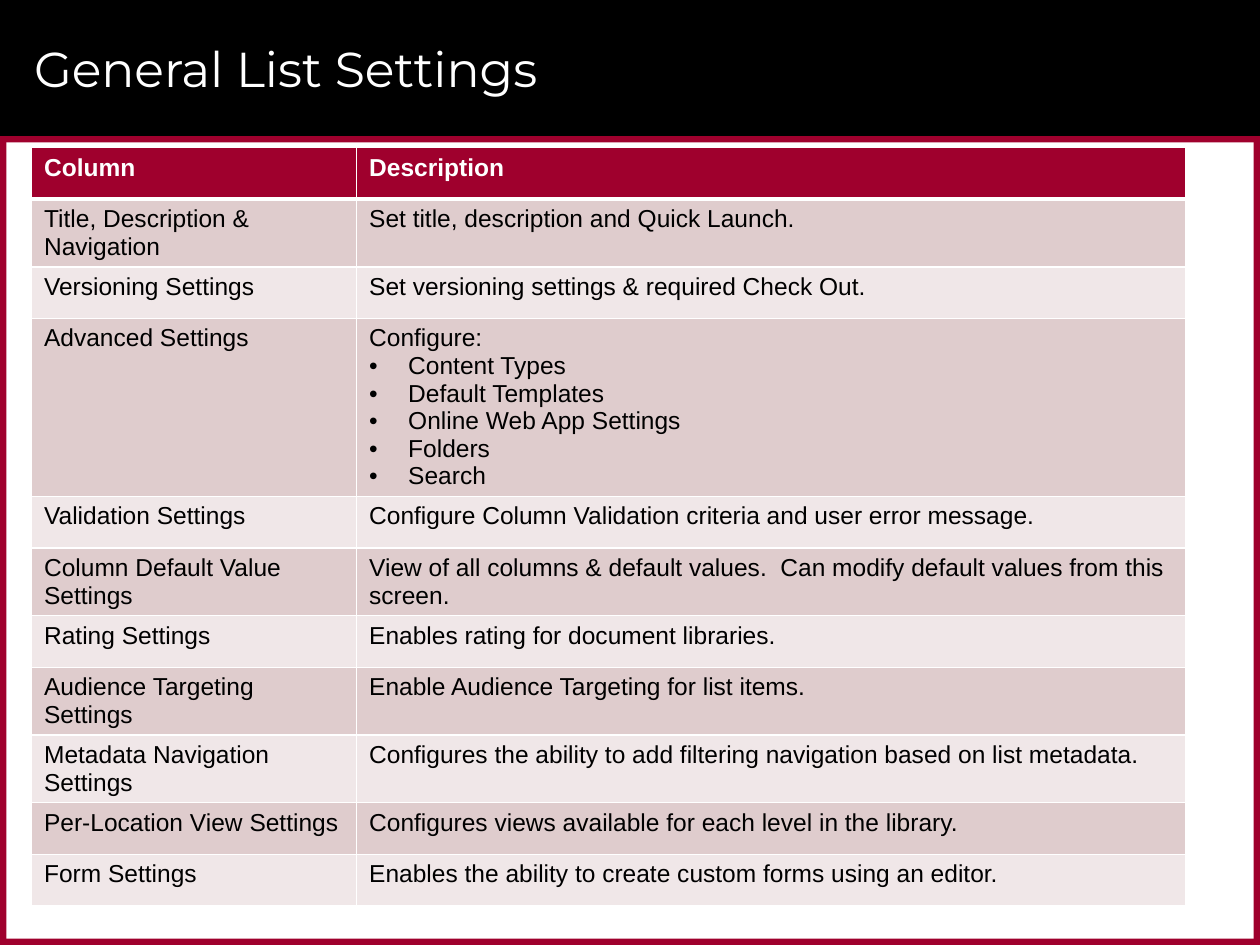
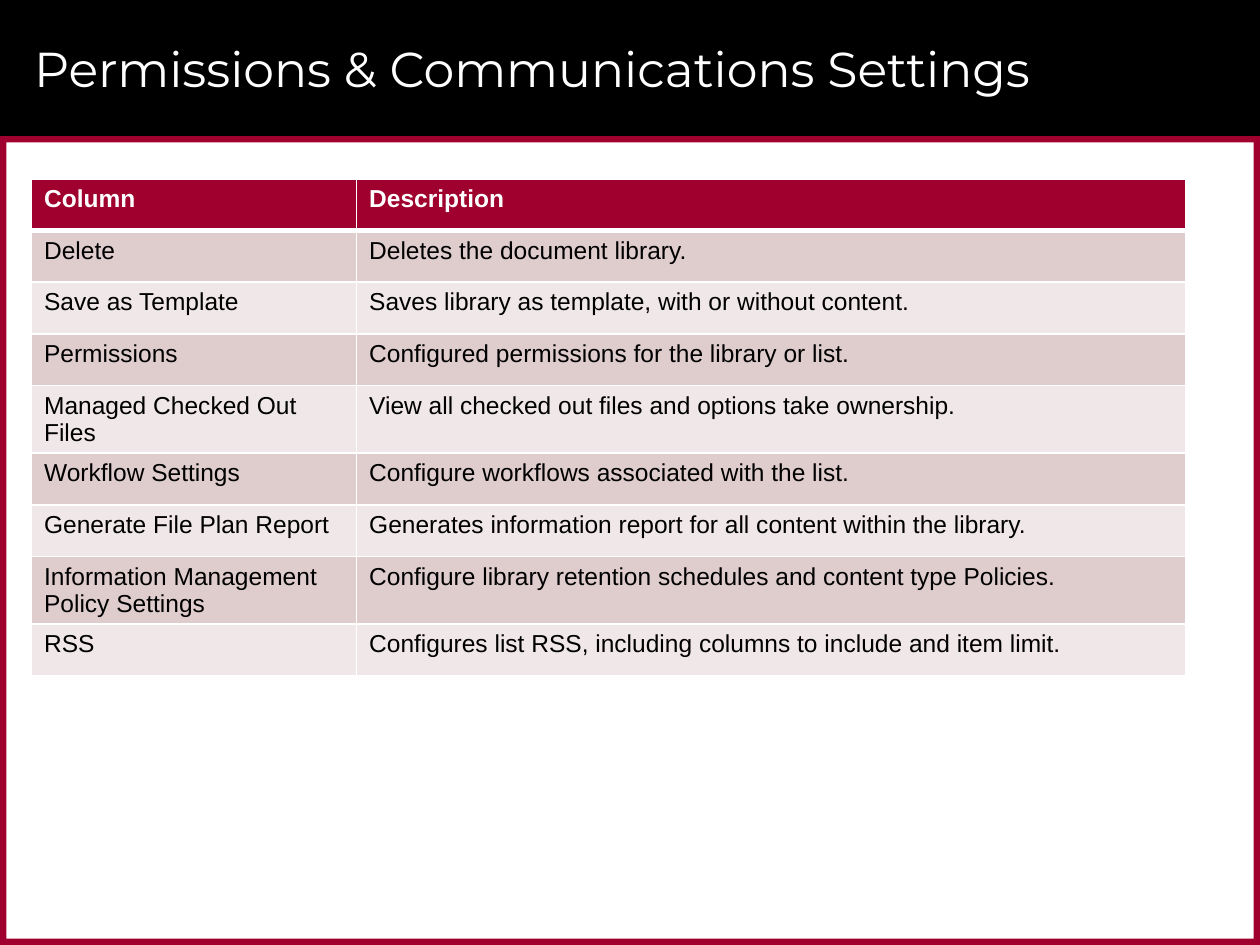
from dataclasses import dataclass

from lxml.etree import SubElement
from pptx import Presentation
from pptx.dml.color import RGBColor
from pptx.enum.shapes import MSO_SHAPE
from pptx.enum.text import MSO_ANCHOR as Anchor, MSO_AUTO_SIZE as AutoSize, PP_ALIGN as Align
from pptx.oxml.ns import qn
from pptx.oxml.xmlchemy import OxmlElement
from pptx.slide import Slide
from pptx.table import _Cell as Cell
from pptx.util import Inches, Pt


@dataclass(frozen=True)
class Theme:
    black: str = "000000"
    white: str = "FFFFFF"
    crimson: str = "9F002D"
    dark_row: str = "DFCCCD"
    light_row: str = "F0E7E8"
    title_font: str = "Montserrat"
    body_font: str = "Arial"
    title_size: int = 28
    body_size: int = 14
    rule: int = 1
    header_rule: int = 3


@dataclass(frozen=True)
class Band:
    left: float
    top: float
    width: float
    height: float
    color: str


@dataclass(frozen=True)
class Setting:
    """One table row; bullets follow the description in the same cell."""
    name: str
    description: str
    bullets: tuple[str, ...] = ()


@dataclass(frozen=True)
class SettingsPage:
    title: str
    table_top: float
    settings: tuple[Setting, ...]


THEME = Theme()
PAGE_WIDTH, PAGE_HEIGHT = 10, 7.5
BANNER_HEIGHT, EDGE = 1.08, 0.05
FRAME_HEIGHT = PAGE_HEIGHT - BANNER_HEIGHT
BANDS = (
    Band(0, 0, PAGE_WIDTH, BANNER_HEIGHT, THEME.black),
    Band(0, BANNER_HEIGHT, PAGE_WIDTH, EDGE, THEME.crimson),
    Band(0, PAGE_HEIGHT - EDGE, PAGE_WIDTH, EDGE, THEME.crimson),
    Band(PAGE_WIDTH - EDGE, BANNER_HEIGHT, EDGE, FRAME_HEIGHT, THEME.crimson),
    Band(0, BANNER_HEIGHT, EDGE, FRAME_HEIGHT, THEME.crimson),
)
TABLE_LEFT = 0.25
COLUMN_WIDTHS = (2.58, 6.58)
ROW_HEIGHT = 0.41
BULLET_INDENT = 0.31
HEADER = Setting("Column", "Description")

PAGES = (
    SettingsPage("General List Settings", 1.17, (
        Setting("Title, Description & Navigation", "Set title, description and Quick Launch."),
        Setting("Versioning Settings", "Set versioning settings & required Check Out."),
        Setting("Advanced Settings", "Configure:", (
            "Content Types", "Default Templates", "Online Web App Settings", "Folders", "Search")),
        Setting("Validation Settings",
                "Configure Column Validation criteria and user error message."),
        Setting("Column Default Value Settings",
                "View of all columns & default values.  "
                "Can modify default values from this screen."),
        Setting("Rating Settings", "Enables rating for document libraries."),
        Setting("Audience Targeting Settings", "Enable Audience Targeting for list items."),
        Setting("Metadata Navigation Settings",
                "Configures the ability to add filtering navigation based on list metadata."),
        Setting("Per-Location View Settings",
                "Configures views available for each level in the library."),
        Setting("Form Settings", "Enables the ability to create custom forms using an editor."),
    )),
    SettingsPage("Permissions & Communications Settings", 1.42, (
        Setting("Delete", "Deletes the document library."),
        Setting("Save as Template", "Saves library as template, with or without content."),
        Setting("Permissions", "Configured permissions for the library or list."),
        Setting("Managed Checked Out Files",
                "View all checked out files and options take ownership."),
        Setting("Workflow Settings", "Configure workflows associated with the list."),
        Setting("Generate File Plan Report",
                "Generates information report for all content within the library."),
        Setting("Information Management Policy Settings",
                "Configure library retention schedules and content type Policies."),
        Setting("RSS", "Configures list RSS, including columns to include and item limit."),
    )),
)


def rgb(color: str) -> RGBColor:
    return RGBColor.from_string(color)


def draw_band(page: Slide, band: Band) -> None:
    shape = page.shapes.add_shape(
        MSO_SHAPE.RECTANGLE, Inches(band.left), Inches(band.top),
        Inches(band.width), Inches(band.height))
    shape.shadow.inherit = False
    shape.fill.solid()
    shape.fill.fore_color.rgb = rgb(band.color)
    shape.line.fill.background()


def draw_title(page: Slide, text: str) -> None:
    """Fill the title placeholder and bring it in front of the banner."""
    title = page.shapes.title
    page.shapes.element.append(title.element)
    title.left, title.top = Inches(0.17), Inches(0.08)
    title.width, title.height = Inches(9.42), Inches(0.92)
    frame = title.text_frame
    frame.text = text
    frame.word_wrap = True
    frame.auto_size = AutoSize.NONE
    frame.vertical_anchor = Anchor.MIDDLE
    para = frame.paragraphs[0]
    para.alignment = Align.LEFT
    para.font.name = THEME.title_font
    para.font.size = Pt(THEME.title_size)
    para.font.color.rgb = rgb(THEME.white)


def set_borders(cell: Cell, top: int, bottom: int) -> None:
    properties = cell._tc.get_or_add_tcPr()
    widths = {"a:lnL": THEME.rule, "a:lnR": THEME.rule, "a:lnT": top, "a:lnB": bottom}
    for position, (tag, width) in enumerate(widths.items()):
        line = OxmlElement(tag)
        line.set("w", str(Pt(width)))
        fill = SubElement(line, qn("a:solidFill"))
        SubElement(fill, qn("a:srgbClr"), val=THEME.white)
        properties.insert(position, line)


def fill_cell(cell: Cell, lines: tuple[str, ...], row: int) -> None:
    """Write a cell whose lines after the first are bullets; row 0 is the header."""
    is_header = row == 0
    cell.fill.solid()
    row_color = THEME.dark_row if row % 2 else THEME.light_row
    cell.fill.fore_color.rgb = rgb(THEME.crimson if is_header else row_color)
    set_borders(cell, top=THEME.header_rule if row == 1 else THEME.rule,
                bottom=THEME.header_rule if is_header else THEME.rule)
    cell.text = "\n".join(lines)
    for number, para in enumerate(cell.text_frame.paragraphs):
        if number:
            properties = para._p.get_or_add_pPr()
            properties.set("marL", str(Inches(BULLET_INDENT)))
            properties.set("indent", str(-Inches(BULLET_INDENT)))
            SubElement(properties, qn("a:buFont"), typeface=THEME.body_font)
            SubElement(properties, qn("a:buChar"), char="•")
        para.font.name = THEME.body_font
        para.font.size = Pt(THEME.body_size)
        para.font.bold = is_header
        para.font.color.rgb = rgb(THEME.white if is_header else THEME.black)


def draw_table(page: Slide, top: float, settings: tuple[Setting, ...]) -> None:
    rows = (HEADER, *settings)
    table = page.shapes.add_table(
        len(rows), len(COLUMN_WIDTHS), Inches(TABLE_LEFT), Inches(top),
        Inches(sum(COLUMN_WIDTHS)), Inches(ROW_HEIGHT * len(rows))).table
    for column, width in zip(table.columns, COLUMN_WIDTHS):
        column.width = Inches(width)
    for row, setting in enumerate(rows):
        table.rows[row].height = Inches(ROW_HEIGHT)
        fill_cell(table.cell(row, 0), (setting.name,), row)
        fill_cell(table.cell(row, 1), (setting.description, *setting.bullets), row)


def main() -> None:
    deck = Presentation()
    deck.slide_width, deck.slide_height = Inches(PAGE_WIDTH), Inches(PAGE_HEIGHT)
    title_only = deck.slide_layouts[5]
    for content in PAGES:
        page = deck.slides.add_slide(title_only)
        for band in BANDS:
            draw_band(page, band)
        draw_title(page, content.title)
        draw_table(page, content.table_top, content.settings)
    deck.save("out.pptx")


if __name__ == "__main__":
    main()
